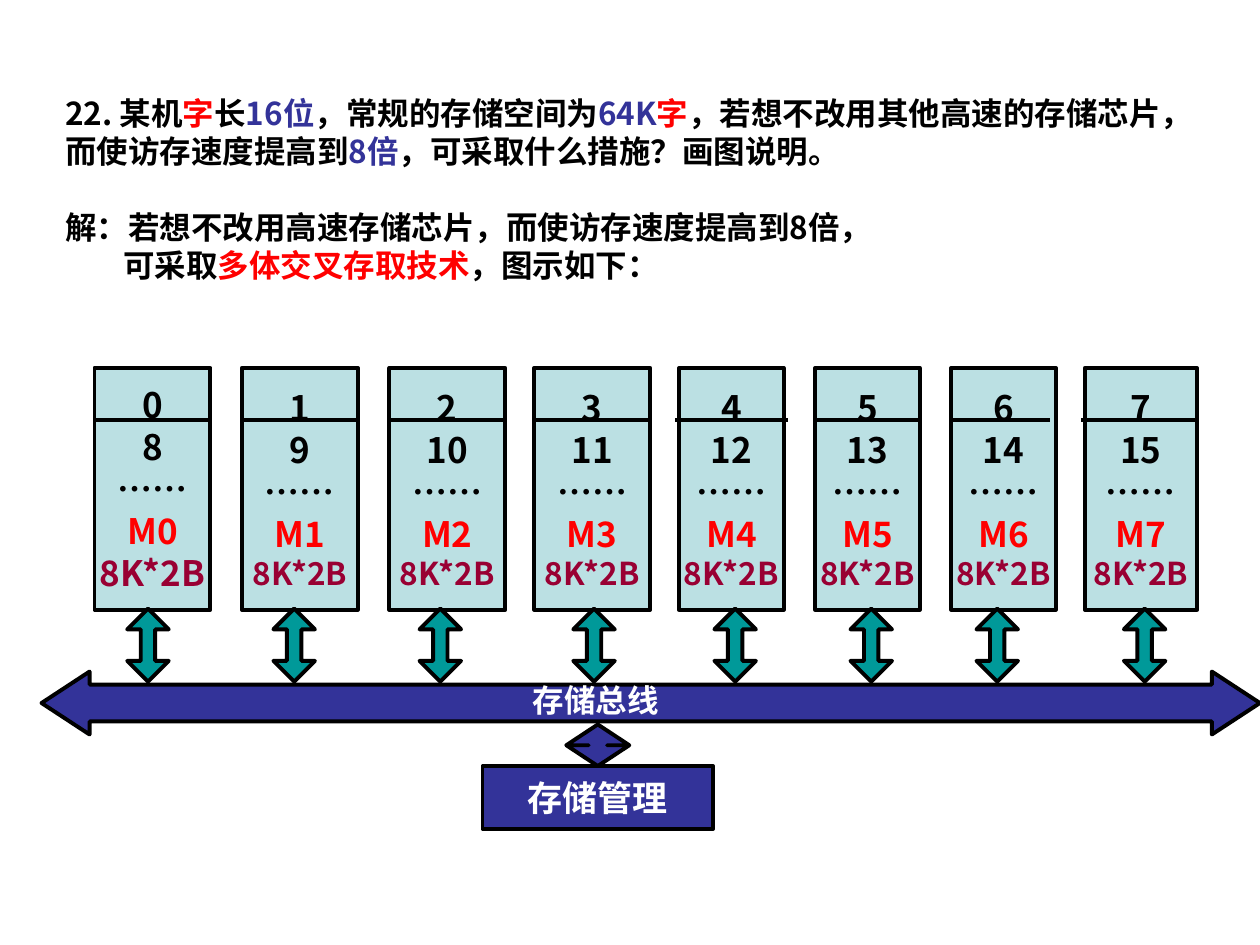
import pptx
import pptx.util
import pptx.dml.color
import pptx.enum.shapes
import pptx.enum.text
import pptx.oxml
import pptx.oxml.ns
from pptx.util import Inches

COLORS = {
    "black": "000000", "white": "FFFFFF", "red": "FF0000", "navy": "333399",
    "teal": "009999", "pale": "BBE0E3", "maroon": "990033",
}
FONT = "Noto Sans CJK SC"
LINE_PITCH = 1.2
SHAPES = pptx.enum.shapes.MSO_SHAPE
ALIGN = pptx.enum.text.PP_ALIGN
ANCHOR = pptx.enum.text.MSO_ANCHOR

BANK_TOP, BANK_HEIGHT = 2.92, 1.92
BANKS = [
    (0.75, 0.92, 0.75, 1.67, 1.01),
    (1.92, 0.92, 1.92, 2.83, 2.17),
    (3.09, 0.92, 3.09, 4.01, 3.33),
    (4.24, 0.92, 4.24, 5.15, 4.55),
    (5.39, 0.83, 5.36, 6.25, 5.67),
    (6.47, 0.83, 6.47, 7.31, 6.75),
    (7.55, 0.83, 7.55, 8.33, 7.75),
    (8.61, 0.89, 8.58, 9.50, 8.92),
]


def rgb(color):
    return pptx.dml.color.RGBColor.from_string(COLORS[color])


def add_run(paragraph, text, size, color):
    run = paragraph.add_run()
    run.text = text
    run.font.size = pptx.util.Pt(size)
    run.font.bold = True
    run.font.name = FONT
    run.font.color.rgb = rgb(color)
    east_asian = pptx.oxml.parse_xml(
        f'<a:ea {pptx.oxml.ns.nsdecls("a")} typeface="{FONT}"/>')
    run.font._element.find(pptx.oxml.ns.qn("a:latin")).addnext(east_asian)


def write(frame, lines, align):
    for index, (size, runs) in enumerate(lines):
        paragraph = frame.paragraphs[0] if index == 0 else frame.add_paragraph()
        paragraph.alignment = align
        paragraph.line_spacing = pptx.util.Pt(size * LINE_PITCH)
        for text, color in runs:
            add_run(paragraph, text, size, color)


def add_block(slide, kind, box, fill, adjustments=()):
    block = slide.shapes.add_shape(kind, *map(Inches, box))
    block.shadow.inherit = False
    block.fill.solid()
    block.fill.fore_color.rgb = rgb(fill)
    block.line.color.rgb = rgb("black")
    block.line.width = pptx.util.Pt(2.25)
    for index, value in enumerate(adjustments):
        block.adjustments[index] = value
    return block


def add_labelled_box(slide, box, fill, lines):
    frame = add_block(slide, SHAPES.RECTANGLE, box, fill).text_frame
    frame.word_wrap = False
    frame.vertical_anchor = ANCHOR.MIDDLE
    write(frame, lines, ALIGN.CENTER)


def add_question(slide, box):
    frame = slide.shapes.add_textbox(*map(Inches, box)).text_frame
    frame.word_wrap = True
    frame.vertical_anchor = ANCHOR.MIDDLE
    question = [
        ("22. 某机", "black"), ("字", "red"), ("长", "black"), ("16位", "navy"),
        ("，常规的存储空间为", "black"), ("64K", "navy"), ("字", "red"),
        ("，若想不改用其他高速的存储芯片，而使访存速度提高到", "black"),
        ("8倍", "navy"), ("，可采取什么措施？画图说明。", "black"),
    ]
    answer = [("解：若想不改用高速存储芯片，而使访存速度提高到8倍，", "black")]
    method = [("可采取", "black"), ("多体交叉存取技术", "red"),
              ("，图示如下：", "black")]
    write(frame, [(18, question), (18, answer), (18, method)], ALIGN.LEFT)
    frame.paragraphs[1].space_before = pptx.util.Pt(18 * LINE_PITCH)
    frame.paragraphs[2]._p.get_or_add_pPr().set("marL", str(Inches(0.46)))


def add_bank(slide, number, box):
    lines = [
        (20, [(str(number), "black")]),
        (20, [(str(number + 8), "black")]),
        (20, [("……", "black")]),
        (20, [(f"M{number}", "red")]),
        (20 if number == 0 else 18, [("8K*2B", "maroon")]),
    ]
    add_labelled_box(slide, box, "pale", lines)


def add_divider(slide, left, right, y):
    divider = slide.shapes.add_connector(
        pptx.enum.shapes.MSO_CONNECTOR.STRAIGHT,
        Inches(left), Inches(y), Inches(right), Inches(y))
    divider.line.color.rgb = rgb("black")
    divider.line.width = pptx.util.Pt(2.25)
    divider._element.spPr.append(pptx.oxml.parse_xml(
        f'<a:effectLst {pptx.oxml.ns.nsdecls("a")}/>'))


def add_manager(slide, box):
    left, top, width, _ = box
    add_labelled_box(slide, box, "navy", [(20, [("存储管理", "white")])])
    link = (left + width / 2 - 0.25, top - 0.33, 0.5, 0.33)
    add_block(slide, SHAPES.UP_DOWN_ARROW, link, "navy", (0.565, 0.292))


def add_bus_label(slide, box):
    frame = slide.shapes.add_textbox(*map(Inches, box)).text_frame
    frame.word_wrap = True
    write(frame, [(18, [("存储总线", "white")])], ALIGN.LEFT)


def main():
    deck = pptx.Presentation()
    deck.slide_width, deck.slide_height = Inches(10), Inches(7.5)
    slide = deck.slides.add_slide(deck.slide_layouts[6])

    add_question(slide, (0.42, 0.25, 9.25, 2.5))
    for number, (left, width, *_) in enumerate(BANKS):
        add_bank(slide, number, (left, BANK_TOP, width, BANK_HEIGHT))
    add_block(slide, SHAPES.LEFT_RIGHT_ARROW, (0.33, 5.33, 9.67, 0.5),
              "navy", (0.583, 0.763))
    for *_, arrow_left in BANKS:
        add_block(slide, SHAPES.UP_DOWN_ARROW, (arrow_left, 4.83, 0.33, 0.58),
                  "teal", (0.5, 0.348))
    add_manager(slide, (3.83, 6.08, 1.83, 0.5))
    for _, _, divider_left, divider_right, _ in BANKS:
        add_divider(slide, divider_left, divider_right, 3.33)
    add_bus_label(slide, (4.13, 5.36, 1.62, 0.4))
    deck.save("out.pptx")


if __name__ == "__main__":
    main()
